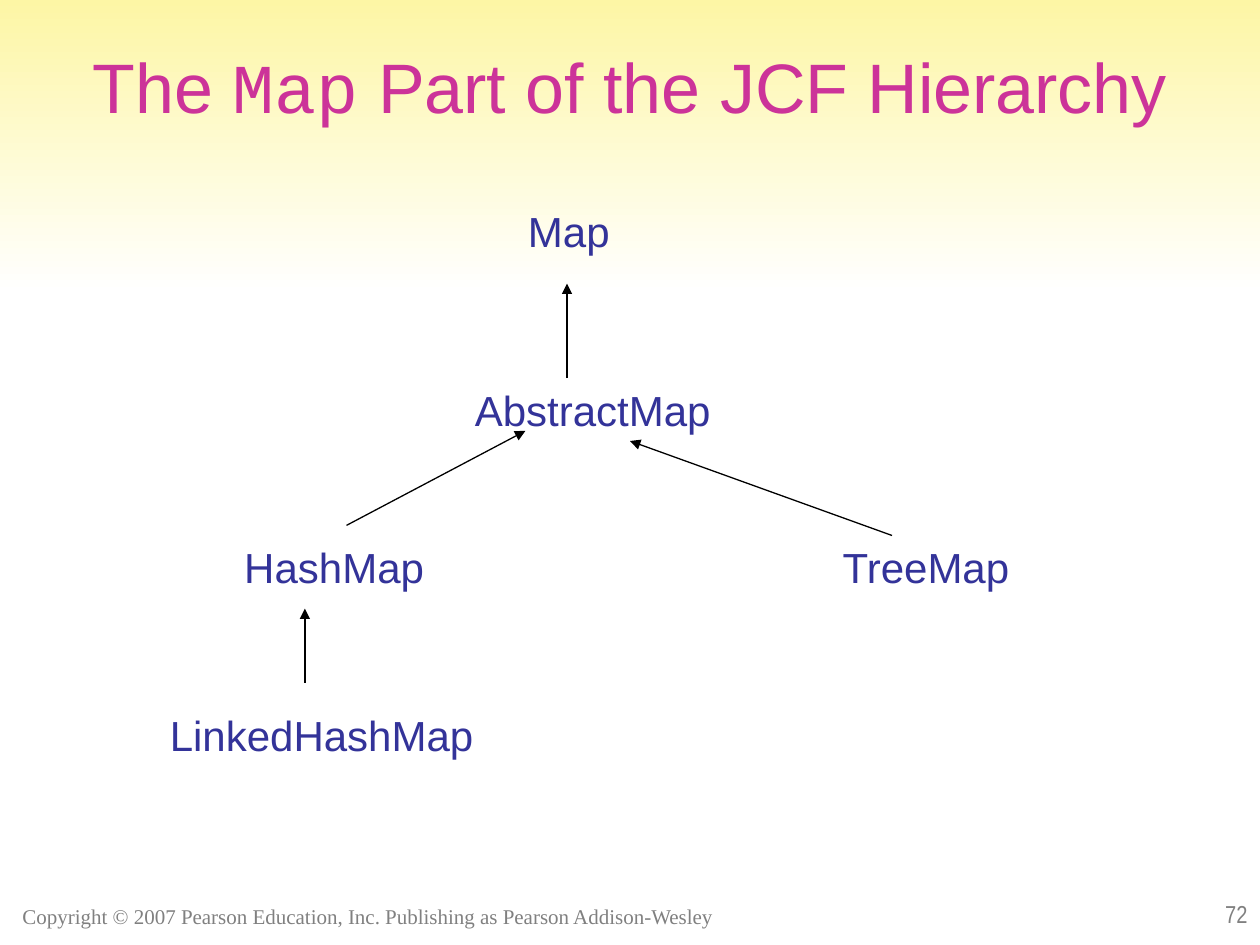
from lxml import etree
from pptx import Presentation, util as u
from pptx.dml.color import RGBColor
from pptx.enum import shapes, text
from pptx.oxml import ns


def color(value):
    return RGBColor.from_string(value)


def add_run(paragraph, content, *, font, size, fill):
    run = paragraph.add_run()
    run.text = content
    run.font.name = font
    run.font.size = u.Pt(size)
    run.font.color.rgb = color(fill)


class HierarchySlide:
    """Style and drawing methods for a class hierarchy slide."""

    TITLE = "CC3399"
    LABEL = "333399"
    FOOTER = "808080"
    LINE = "000000"
    FONT = "Arial"

    def __init__(self, slide):
        self.slide = slide

    def band(self, width, height, top_color, bottom_color):
        shape = self.slide.shapes.add_shape(
            shapes.MSO_SHAPE.RECTANGLE, 0, 0, u.Inches(width), u.Inches(height))
        shape.shadow.inherit = False
        shape.line.fill.background()
        shape.fill.gradient()
        shape.fill.gradient_angle = 270
        for stop, value, position in zip(shape.fill.gradient_stops,
                                         (top_color, bottom_color), (0, 1)):
            stop.color.rgb = color(value)
            stop.position = position

    def text_box(self, box, runs, *, size, fill, align=text.PP_ALIGN.LEFT,
                 anchor=text.MSO_ANCHOR.TOP, inset=0.1):
        shape = self.slide.shapes.add_textbox(*map(u.Inches, box))
        frame = shape.text_frame
        frame.word_wrap = True
        frame.vertical_anchor = anchor
        frame.margin_left = u.Inches(inset)
        paragraph = frame.paragraphs[0]
        paragraph.alignment = align
        for content, font in runs:
            add_run(paragraph, content, font=font, size=size, fill=fill)

    def title(self, runs):
        self.text_box((0.5, 0.3, 9, 0.95), runs, size=40, fill=self.TITLE,
                      align=text.PP_ALIGN.CENTER)

    def label(self, name, left, top, width, inset=0.1):
        self.text_box((left, top, width, 0.5), [(name, self.FONT)],
                      size=24, fill=self.LABEL, inset=inset)

    def footer(self, content, box, font, size, align=text.PP_ALIGN.LEFT):
        self.text_box(box, [(content, font)], size=size, fill=self.FOOTER,
                      align=align, anchor=text.MSO_ANCHOR.BOTTOM)

    def arrow(self, start, end):
        connector = self.slide.shapes.add_connector(
            shapes.MSO_CONNECTOR.STRAIGHT, *map(u.Inches, start + end))
        connector.line.color.rgb = color(self.LINE)
        connector.line.width = u.Pt(0.75)
        properties = connector._element.spPr
        etree.SubElement(properties.find(ns.qn("a:ln")), ns.qn("a:tailEnd"),
                         type="triangle")
        etree.SubElement(properties, ns.qn("a:effectLst"))


def main():
    presentation = Presentation()
    presentation.slide_width = u.Inches(10)
    presentation.slide_height = u.Inches(7.5)
    page = HierarchySlide(presentation.slides.add_slide(presentation.slide_layouts[6]))

    page.footer("Copyright © 2007 Pearson Education, Inc. Publishing as Pearson Addison-Wesley",
                (0.08, 7, 5.92, 0.42), "Times New Roman", 12)
    page.band(10, 2.33, "FDF6A5", "FFFFFF")
    page.footer("72", (7.92, 6.92, 2.08, 0.5), "Arial Narrow", 14, text.PP_ALIGN.RIGHT)
    page.title([("The ", "Arial"), ("Map", "Courier New"),
                (" Part of the JCF Hierarchy", "Arial")])

    for start, end in (
        ((4.5, 3), (4.5, 2.25)),
        ((2.42, 5.42), (2.42, 4.83)),
        ((2.75, 4.17), (4.17, 3.42)),
        ((7.08, 4.25), (5, 3.5)),
    ):
        page.arrow(start, end)

    page.label("Map", 3.17, 1.58, 2.92, inset=1.02)
    page.label("AbstractMap", 3.67, 3, 2.17)
    page.label("HashMap", 1.84, 4.25, 1.7)
    page.label("TreeMap", 6.59, 4.25, 1.6)
    page.label("LinkedHashMap", 1.25, 5.58, 2.67)

    presentation.save("out.pptx")


if __name__ == "__main__":
    main()
